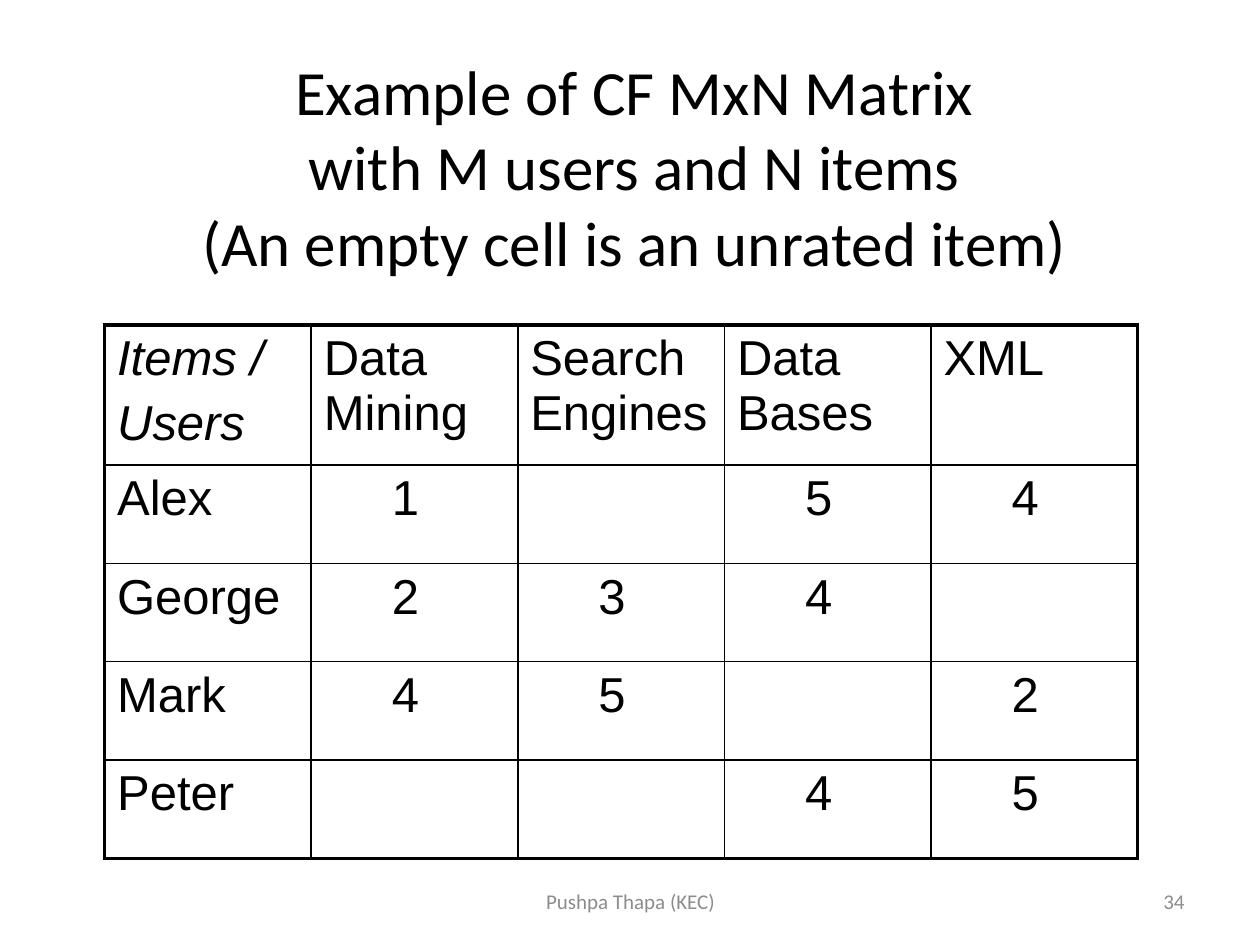
from lxml.etree import SubElement
from pptx import Presentation
from pptx.dml.color import RGBColor
from pptx.enum.text import MSO_ANCHOR as Anchor, PP_ALIGN as Align
from pptx.oxml.ns import qn
from pptx.util import Inches, Pt

THEME = {
    "ink": RGBColor(0, 0, 0), "muted": RGBColor(0x8C, 0x8C, 0x8C),
    "heading_font": "Calibri", "table_font": "Arial",
    "title": 36, "cell": 28, "footer": 12,
    "outer_line": 2.25, "inner_line": 1,
}


def write_text(frame, text, size, font=THEME["heading_font"], color=THEME["ink"],
               align=Align.LEFT, italic=False, before=0):
    """Fill a text frame: newline starts a paragraph, vertical tab breaks a line."""
    frame.word_wrap = True
    for index, line in enumerate(text.split("\n")):
        para = frame.add_paragraph() if index else frame.paragraphs[0]
        para.text = line
        para.alignment = align
        para.space_before = Pt(before)
        for span in para.runs:
            span.font.size = Pt(size)
            span.font.name = font
            span.font.italic = italic
            span.font.color.rgb = color


def set_borders(cell, widths):
    """Draw solid cell borders, with widths in points by side tag."""
    properties = cell._tc.get_or_add_tcPr()
    for position, (side, width) in enumerate(widths.items()):
        line = SubElement(properties, qn(f"a:{side}"), w=str(Pt(width)))
        fill = SubElement(line, qn("a:solidFill"))
        SubElement(fill, qn("a:srgbClr"), val=str(THEME["ink"]))
        properties.insert(position, line)


deck = Presentation()
deck.slide_width, deck.slide_height = Inches(10), Inches(7.5)
page = deck.slides.add_slide(deck.slide_layouts[6])

# Title and footer
title = "Example of CF MxN Matrix\vwith M users and N items\v(An empty cell is an unrated item)"
footer = {"size": THEME["footer"], "color": THEME["muted"]}
text_boxes = [
    (title, (0.5, 0.3, 9.07, 2.03), {"size": THEME["title"], "align": Align.CENTER}),
    ("34", (7.17, 6.95, 2.33, 0.4), {**footer, "align": Align.RIGHT}),
    ("Pushpa Thapa (KEC)", (3.42, 6.95, 3.17, 0.4), {**footer, "align": Align.CENTER}),
]
for text, place, text_format in text_boxes:
    box = page.shapes.add_textbox(*map(Inches, place))
    box.text_frame.vertical_anchor = Anchor.MIDDLE
    write_text(box.text_frame, text, **text_format)

# Ratings matrix
ratings = [
    ["Items /\nUsers", "Data Mining", "Search Engines", "Data Bases", "XML"],
    ["Alex", "1", "", "5", "4"],
    ["George", "2", "3", "4", ""],
    ["Mark", "4", "5", "", "2"],
    ["Peter", "", "", "4", "5"],
]
row_count, column_count = len(ratings), len(ratings[0])
header_height, row_height, column_width = 1.04, 0.78, 1.64
matrix = page.shapes.add_table(
    row_count, column_count, Inches(0.83), Inches(2.58),
    Inches(column_width * column_count),
    Inches(header_height + row_height * (row_count - 1))).table
matrix.first_row = matrix.horz_banding = False
for column in matrix.columns:
    column.width = Inches(column_width)
for index, row in enumerate(matrix.rows):
    row.height = Inches(row_height if index else header_height)

outer, inner = THEME["outer_line"], THEME["inner_line"]
for r, values in enumerate(ratings):
    for c, value in enumerate(values):
        cell = matrix.cell(r, c)
        cell.fill.background()
        if r and c:
            cell.margin_left = Inches(0.64)
        write_text(cell.text_frame, value, THEME["cell"], font=THEME["table_font"],
                   italic=r == c == 0, before=THEME["cell"] * 0.2)
        set_borders(cell, {
            "lnL": outer if c == 0 else inner,
            "lnR": outer if c == column_count - 1 else inner,
            "lnT": outer if r == 0 else inner,
            "lnB": outer if r == row_count - 1 else inner,
        })

deck.save("out.pptx")
